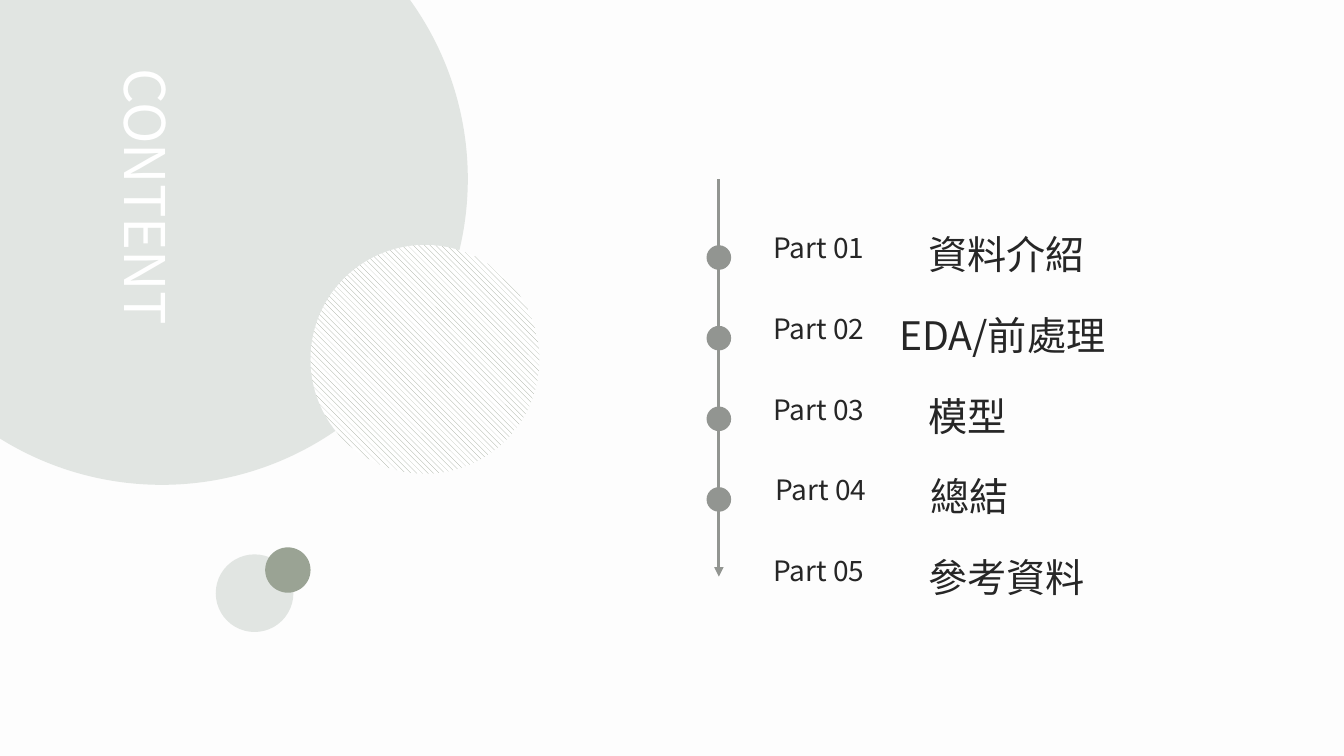
from lxml.etree import SubElement
from pptx import Presentation
from pptx.dml.color import RGBColor
from pptx.enum.dml import MSO_PATTERN
from pptx.enum.shapes import MSO_CONNECTOR, MSO_SHAPE
from pptx.enum.text import MSO_ANCHOR, MSO_AUTO_SIZE, PP_ALIGN
from pptx.oxml.ns import qn
from pptx.util import Inches, Pt

PAPER = RGBColor(0xFD, 0xFD, 0xFD)
WHITE = RGBColor(0xFF, 0xFF, 0xFF)
MIST = RGBColor(0xE1, 0xE5, 0xE2)
SAGE = RGBColor(0x9A, 0xA3, 0x94)
GRAY = RGBColor(0x92, 0x95, 0x91)
INK = RGBColor(0x26, 0x26, 0x26)
FONT = "Noto Sans CJK SC"

AXIS, PART, TOPIC = 7.13, 7.57, 9.11
TOP, PITCH = 2.24, 0.8
DOT = 0.23
TOPICS = [
    ("資料介紹", PART, TOPIC),
    ("EDA/前處理", PART, 8.82),
    ("模型", PART, TOPIC),
    ("總結", 7.59, 9.13),
    ("參考資料", PART, TOPIC),
]


def row(index):
    return TOP + index * PITCH


def style(para, size, color):
    font = para.font
    font.name, font.size, font.color.rgb = FONT, Pt(size), color
    props = para._p.get_or_add_pPr().find(qn("a:defRPr"))
    SubElement(props, qn("a:ea"), typeface=FONT)
    for run in para.runs:
        face = run.font
        face.name, face.size, face.color.rgb = FONT, Pt(size), color
        SubElement(run._r.get_or_add_rPr(), qn("a:ea"), typeface=FONT)


def disc(shapes, left, top, size, color, edge=False):
    shape = shapes.add_shape(MSO_SHAPE.OVAL, *map(Inches, (left, top, size, size)))
    shape.shadow.inherit = False
    shape.fill.solid()
    shape.fill.fore_color.rgb = color
    if edge:
        shape.line.color.rgb = color
        shape.line.width = Pt(1)
    else:
        shape.line.fill.background()
    return shape


def hatch(shape):
    fill = shape.fill
    fill.patterned()
    fill.pattern = MSO_PATTERN.WIDE_DOWNWARD_DIAGONAL
    fill.fore_color.rgb, fill.back_color.rgb = SAGE, WHITE


def label(shapes, text, left, top, width, height, size, align=PP_ALIGN.LEFT):
    box = shapes.add_textbox(*map(Inches, (left, top, width, height)))
    frame = box.text_frame
    frame.word_wrap = True
    frame.auto_size = MSO_AUTO_SIZE.SHAPE_TO_FIT_TEXT
    para = frame.paragraphs[0]
    para.text, para.alignment = text, align
    style(para, size, INK)


def arrow(shapes, left, top, foot):
    line = shapes.add_connector(
        MSO_CONNECTOR.STRAIGHT, *map(Inches, (left, top, left, foot)))
    line.line.color.rgb = GRAY
    line.line.width = Pt(2.25)
    SubElement(line.line._get_or_add_ln(), qn("a:tailEnd"), type="triangle")
    SubElement(line.element.spPr, qn("a:effectLst"))


def heading(title, text):
    title.left, title.top, title.width, title.height = map(Inches, (0.06, 1.48, 2.8, 1))
    title.rotation = 90
    frame = title.text_frame
    frame.auto_size = MSO_AUTO_SIZE.NONE
    frame.vertical_anchor = MSO_ANCHOR.MIDDLE
    para = frame.paragraphs[0]
    para.text, para.alignment = text, PP_ALIGN.LEFT
    style(para, 40, WHITE)
    title.element.getparent().append(title.element)


def timeline(shapes):
    group = shapes.add_group_shape().shapes
    arrow(group, AXIS, 1.78, 5.72)
    for index in range(len(TOPICS) - 1):
        disc(group, AXIS - DOT / 2, row(index) + 0.2, DOT, GRAY, True)


def agenda(shapes):
    for index, (topic, near, far) in enumerate(TOPICS):
        label(shapes, f"Part {index + 1:02}", near, row(index), 1.43, 0.44, 20)
        label(shapes, topic, far, row(index), 2.9, 0.57, 28, PP_ALIGN.JUSTIFY)


def main():
    deck = Presentation()
    deck.slide_width, deck.slide_height = Inches(13.33), Inches(7.5)
    slide = deck.slides.add_slide(deck.slide_layouts[5])
    slide.background.fill.solid()
    slide.background.fill.fore_color.rgb = PAPER
    shapes = slide.shapes

    pair = shapes.add_group_shape().shapes
    disc(pair, 2.14, 5.5, 0.77, MIST)
    disc(pair, 2.63, 5.43, 0.45, SAGE)
    disc(shapes, -1.43, -1.26, 6.07, MIST)
    heading(shapes.title, "CONTENT")
    hatch(disc(shapes, 3.08, 2.43, 2.27, WHITE))
    timeline(shapes)
    agenda(shapes)
    deck.save("out.pptx")


if __name__ == "__main__":
    main()
